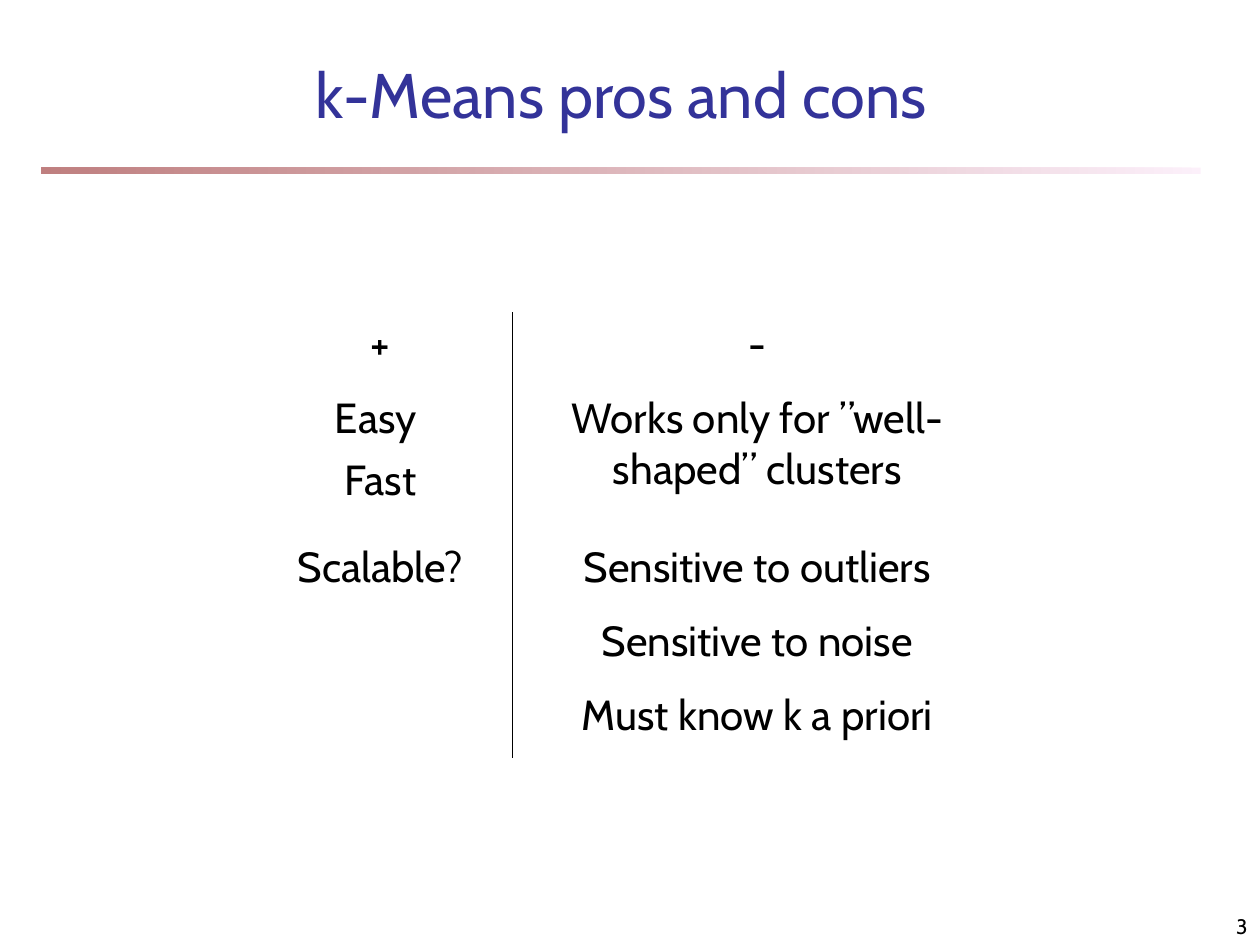
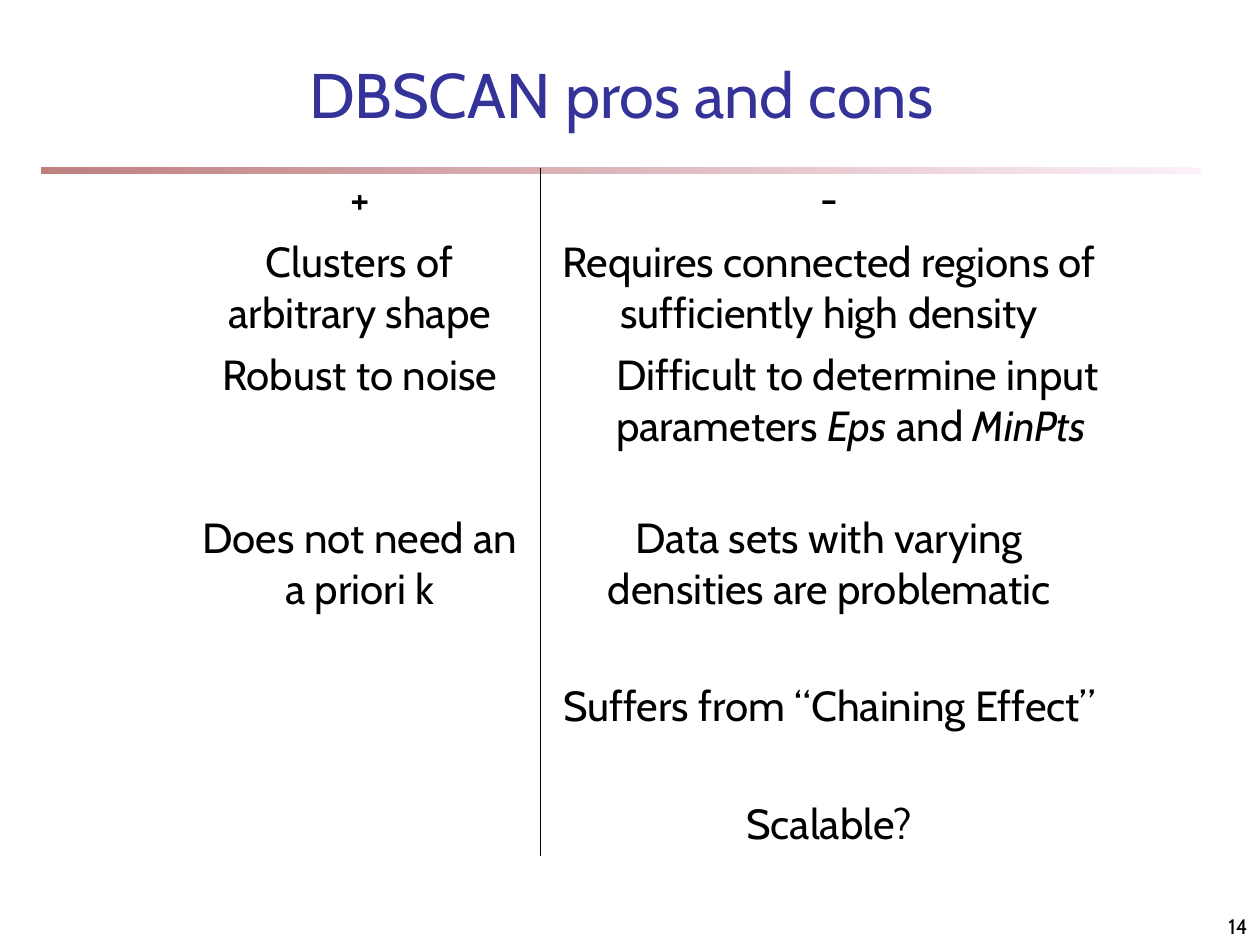
from dataclasses import dataclass
from typing import Any

from lxml import etree
from pptx import Presentation
from pptx.dml.color import RGBColor
from pptx.enum.shapes import MSO_SHAPE
from pptx.enum.text import MSO_ANCHOR, PP_ALIGN
from pptx.oxml.ns import qn
from pptx.util import Emu, Pt

RECT = MSO_SHAPE.RECTANGLE
BOTTOM = MSO_ANCHOR.BOTTOM
LEFT, CENTER, RIGHT = PP_ALIGN.LEFT, PP_ALIGN.CENTER, PP_ALIGN.RIGHT

# Shared look: 100 px to the inch
SCALE = 9144
FONT = "Cabin"
BLACK, NAVY = "000000", "333399"
PINK, MAROON = "FAE2F6", "800000"
RULE = 0.45
TITLE = {"size": Pt(36), "name": FONT}
BODY = {"size": Pt(24), "name": FONT}
PAGE = {"size": Pt(12), "name": FONT}


@dataclass
class Para:
    words: tuple[str, ...]  # every second piece is italic
    align: Any = CENTER
    before: int = 6
    indent: int = 0


@dataclass
class Grid:
    left: int
    top: int
    cols: tuple[int, ...]
    rows: tuple[int, ...]
    cells: list[tuple[list[Para], list[Para]]]


@dataclass
class Page:
    title: str
    number: int
    grid: Grid


def px(value: int) -> Emu:
    return Emu(value * SCALE)


def color(code: str) -> RGBColor:
    return RGBColor.from_string(code)


def apply(target: Any, values: dict[str, Any]) -> None:
    for name, value in values.items():
        setattr(target, name, value)


def lines(*texts: str) -> list[Para]:
    return [Para((text,)) for text in texts]


def write(para: Any, words: tuple[str, ...], look: dict[str, Any], tint: str) -> None:
    for i, text in enumerate(words):
        run = para.add_run()
        run.text = text
        apply(run.font, look | {"italic": i % 2 == 1})
        run.font.color.rgb = color(tint)


def label(slide: Any, box: tuple[int, ...], text: str, align: Any,
          look: dict[str, Any], tint: str) -> None:
    frame = slide.shapes.add_textbox(*map(px, box)).text_frame
    apply(frame, {"word_wrap": True, "vertical_anchor": BOTTOM})
    para = frame.paragraphs[0]
    para.alignment = align
    write(para, (text,), look, tint)


def band(slide: Any) -> None:
    bar = slide.shapes.add_shape(RECT, px(33), px(133), px(920), px(5))
    bar.shadow.inherit = False
    bar.line.fill.background()
    bar.fill.gradient()
    bar.fill.gradient_angle = 180
    for stop, code in zip(bar.fill.gradient_stops, (PINK, MAROON)):
        stop.color.rgb = color(code)
    for tone in bar.element.spPr.iter(qn("a:srgbClr")):
        etree.SubElement(tone, qn("a:alpha"), val="50000")


def border(cell: Any, side: str) -> None:
    """Rule one side of a cell and leave the others bare."""
    props = cell._tc.get_or_add_tcPr()
    for i, name in enumerate(("lnL", "lnR", "lnT", "lnB")):
        line = etree.Element(qn("a:" + name), w=str(Pt(RULE)))
        if name == side:
            fill = etree.SubElement(line, qn("a:solidFill"))
            etree.SubElement(fill, qn("a:srgbClr"), val=BLACK)
        else:
            etree.SubElement(line, qn("a:noFill"))
        props.insert(i, line)


def fill_cell(cell: Any, paras: list[Para]) -> None:
    frame = cell.text_frame
    for i, item in enumerate(paras):
        para = frame.add_paragraph() if i else frame.paragraphs[0]
        apply(para, {"alignment": item.align, "space_before": Pt(item.before)})
        if item.indent:
            props = para._p.get_or_add_pPr()
            props.set("marL", str(px(item.indent)))
            props.set("indent", "0")
        write(para, item.words, BODY, BLACK)


def draw_grid(slide: Any, grid: Grid) -> None:
    size = (len(grid.rows), len(grid.cols))
    box = (grid.left, grid.top, sum(grid.cols), sum(grid.rows))
    table = slide.shapes.add_table(*size, *map(px, box)).table
    apply(table, {"first_row": False, "horz_banding": False})
    for col, width in zip(table.columns, grid.cols):
        col.width = px(width)
    for row, height, texts in zip(table.rows, grid.rows, grid.cells):
        row.height = px(height)
        for cell, paras, side in zip(row.cells, texts, ("lnR", "lnL")):
            cell.fill.background()
            border(cell, side)
            fill_cell(cell, paras)


def draw(deck: Any, page: Page) -> None:
    slide = deck.slides.add_slide(deck.slide_layouts[6])
    band(slide)
    label(slide, (67, 42, 852, 67), page.title, CENTER, TITLE, NAVY)
    draw_grid(slide, page.grid)
    label(slide, (792, 708, 208, 42), str(page.number), RIGHT, PAGE, BLACK)


# Content
HEAD = (lines("+"), lines("-"))
MEANS = Grid(197, 248, (210, 388), (59, 118, 59, 59, 59), [
    HEAD,
    (lines("Easy ", "Fast"), lines("Works only for ”well-shaped” clusters")),
    (lines("Scalable?"), lines("Sensitive to outliers")),
    ([], lines("Sensitive to noise")),
    ([], lines("Must know k a priori")),
])
INPUT = Para(("Difficult to determine input parameters ", "Eps", " and ", "MinPts"),
             align=LEFT, indent=50)
CHAIN = Para(("Suffers from “Chaining Effect”",), before=38)
DENSE = Grid(142, 133, (287, 458), (50, 219, 227, 50), [
    HEAD,
    (lines("Clusters of arbitrary shape", "Robust to noise"),
     lines("Requires connected regions of sufficiently high density") + [INPUT]),
    (lines("Does not need an a priori k"),
     lines("Data sets with varying densities are problematic") + [CHAIN]),
    ([], lines("Scalable?")),
])
PAGES = [
    Page("k-Means pros and cons", 3, MEANS),
    Page("DBSCAN pros and cons", 14, DENSE),
]


def main() -> None:
    deck = Presentation()
    apply(deck, {"slide_width": px(1000), "slide_height": px(750)})
    for page in PAGES:
        draw(deck, page)
    deck.save("out.pptx")


if __name__ == "__main__":
    main()
